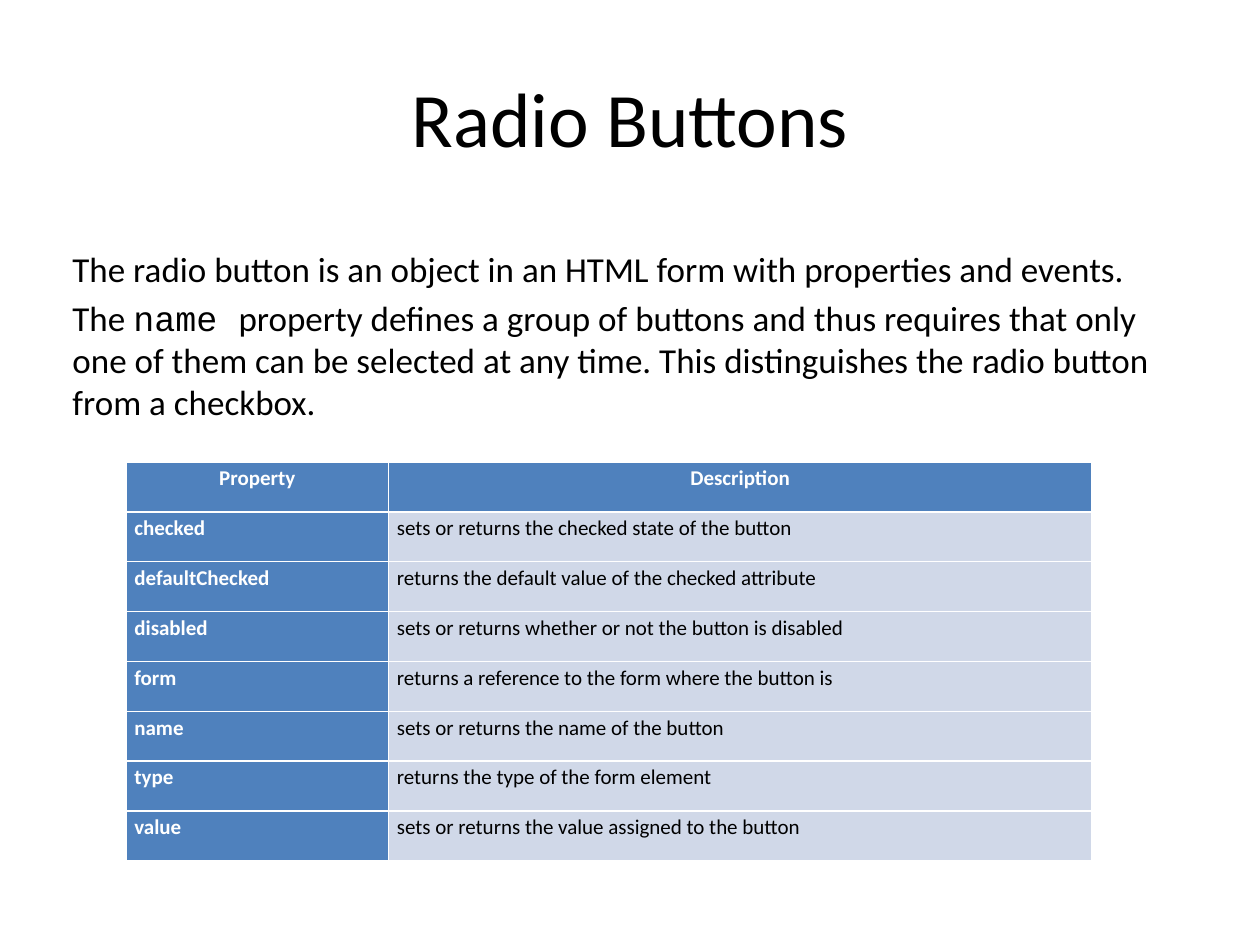
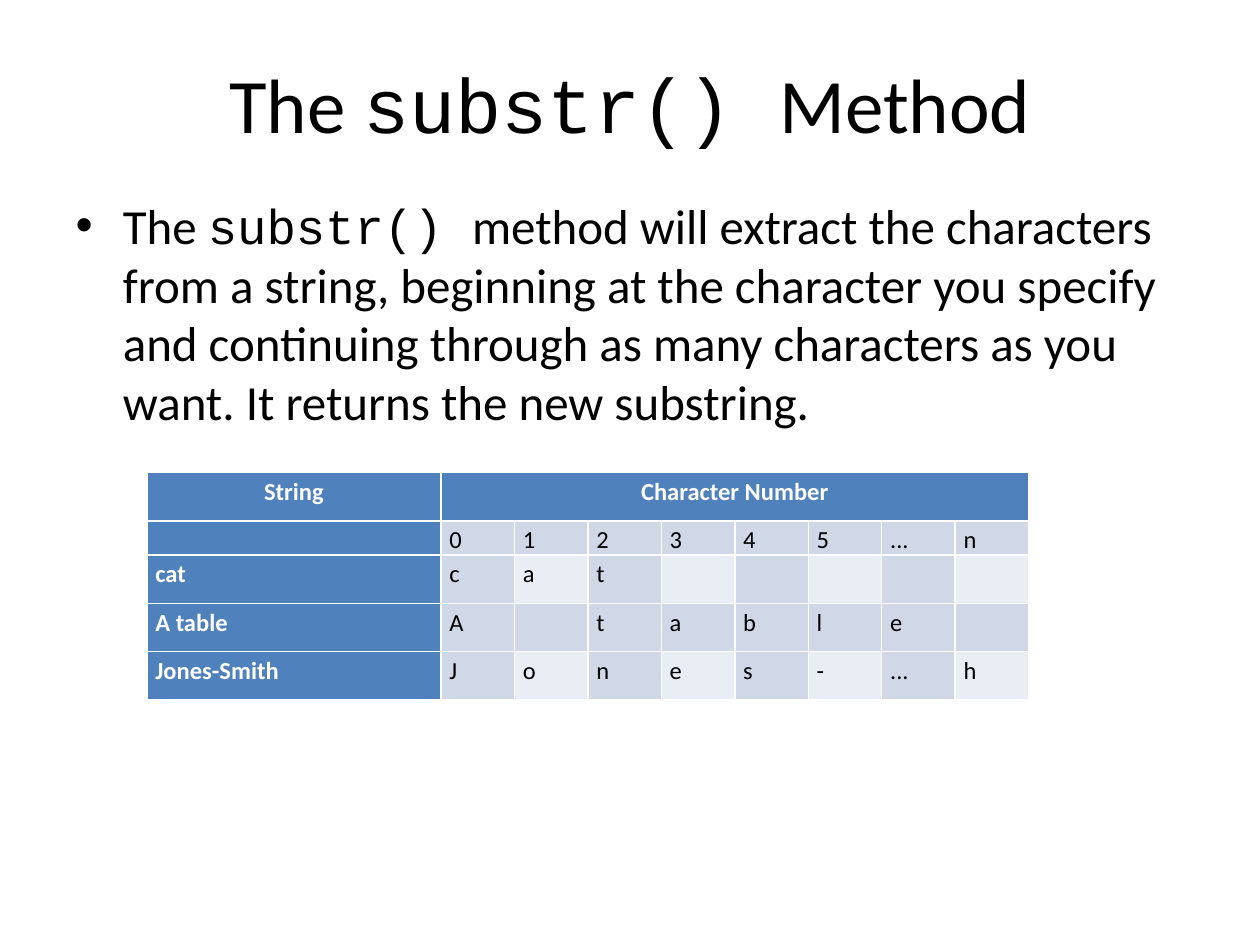
from pptx import Presentation
from pptx.dml.color import RGBColor
from pptx.enum.text import MSO_ANCHOR as Anchor, MSO_AUTO_SIZE as AutoSize, PP_ALIGN as Align
from pptx.oxml.ns import qn
from pptx.util import Pt
from lxml import etree

SCALE = 7620


def px(n):
    return round(n * SCALE)


def rgb(value):
    return RGBColor.from_string(value)


def put(obj, fmt):
    for name, value in fmt.items():
        setattr(obj, name, value)


class Deck:
    SANS, MONO = "Calibri", "Courier New"
    BLACK, WHITE = "000000", "FFFFFF"
    HEAD, BAND, PALE = "4F81BD", "D0D8E8", "E9EDF4"

    def __init__(self):
        self.prs = Presentation()
        put(self.prs, dict(slide_width=px(1200), slide_height=px(900)))
        self.s = None

    def slide(self):
        self.s = self.prs.slides.add_slide(self.prs.slide_layouts[1])

    def place(self, sp, box, anchor):
        put(sp, dict(zip(("left", "top", "width", "height"), map(px, box))))
        put(sp.text_frame, dict(word_wrap=True, auto_size=AutoSize.NONE,
                                vertical_anchor=anchor))
        return sp.text_frame

    def runs(self, p, text, size, color=BLACK, bold=False):
        for i, part in enumerate(text.split("`")):
            if part:
                r = p.add_run()
                r.text = part
                put(r.font, dict(name=self.MONO if i % 2 else self.SANS,
                                 size=Pt(size), bold=bold))
                r.font.color.rgb = rgb(color)

    def title(self, text, height):
        tf = self.place(self.s.shapes.title, (60, 36, 1080, height), Anchor.MIDDLE)
        p = tf.paragraphs[0]
        p.alignment = Align.CENTER
        self.runs(p, text, 44)

    def body(self, paragraphs, box, size, margin, indent=0, bullet=None):
        tf = self.place(self.s.placeholders[1], box, Anchor.TOP)
        for i, text in enumerate(paragraphs):
            p = tf.add_paragraph() if i else tf.paragraphs[0]
            self.runs(p, text, size)
            pPr = p._p.get_or_add_pPr()
            pPr.set("marL", str(px(margin)))
            pPr.set("indent", str(px(indent)))
            if bullet:
                etree.SubElement(pPr, qn("a:buChar")).set("char", bullet)
            else:
                etree.SubElement(pPr, qn("a:buNone"))

    def cell(self, cell, text, size, row, col):
        head = row == 0 or col == 0
        put(cell, dict(margin_left=px(8), margin_right=px(8),
                       margin_top=0, margin_bottom=0))
        cell.fill.solid()
        pale = row % 2 == 0 and col % 2 == 0
        cell.fill.fore_color.rgb = rgb(
            self.HEAD if head else self.PALE if pale else self.BAND)
        p = cell.text_frame.paragraphs[0]
        put(p, dict(line_spacing=1.15,
                    alignment=Align.LEFT if row else Align.CENTER))
        if text:
            self.runs(p, text, size, self.WHITE if head else self.BLACK, head)
        else:
            p._p.get_or_add_endParaRPr().set("sz", str(size * 100))

    def table(self, rows, left, top, widths, heights, size):
        shape = self.s.shapes.add_table(len(rows), len(widths), px(left), px(top),
                                        px(sum(widths)), px(sum(heights)))
        t = shape.table
        put(t, dict(first_row=True, first_col=True))
        for column, width in zip(t.columns, widths):
            column.width = px(width)
        for row, height in zip(t.rows, heights):
            row.height = px(height)
        for i, texts in enumerate(rows):
            for j in range(len(widths)):
                text = texts[j] if j < len(texts) else ""
                self.cell(t.cell(i, j), text, size, i, j)
        return t


def radio_buttons(d):
    d.slide()
    d.title("Radio Buttons", 150)
    d.body(["The radio button is an object in an HTML form with properties and events.",
            "The `name `property defines a group of buttons and thus requires that only "
            "one of them can be selected at any time. This distinguishes the radio button "
            "from a checkbox."],
           (50, 230, 1080, 590), 20, 7)
    properties = [
        ("Property", "Description"),
        ("checked", "sets or returns the checked state of the button"),
        ("defaultChecked", "returns the default value of the checked attribute"),
        ("disabled", "sets or returns whether or not the button is disabled"),
        ("form", "returns a reference to the form where the button is"),
        ("name", "sets or returns the name of the button"),
        ("type", "returns the type of the form element"),
        ("value", "sets or returns the value assigned to the button"),
    ]
    d.table(properties, 120, 440, [250, 670], [380 / len(properties)] * len(properties), 12)


def substr_method(d):
    d.slide()
    d.title("The `substr() `Method", 124)
    d.body(["The `substr() `method will extract the characters from a string, beginning "
            "at the character you specify and continuing through as many characters as "
            "you want. It returns the new substring."],
           (60, 180, 1080, 624), 28, 45, -45, "•")
    characters = [
        ["String", "Character Number"],
        ["", "0", "1", "2", "3", "4", "5", "...", "n"],
        ["cat", *"cat"],
        ["A table", "A", "", *"table"],
        ["Jones-Smith", *"Jones-", "...", "h"],
    ]
    t = d.table(characters, 140, 450, [280] + [70] * 8, [46, 31, 46, 46, 46], 14)
    t.cell(0, 1).merge(t.cell(0, 8))


def main():
    d = Deck()
    radio_buttons(d)
    substr_method(d)
    d.prs.save("out.pptx")


if __name__ == "__main__":
    main()
